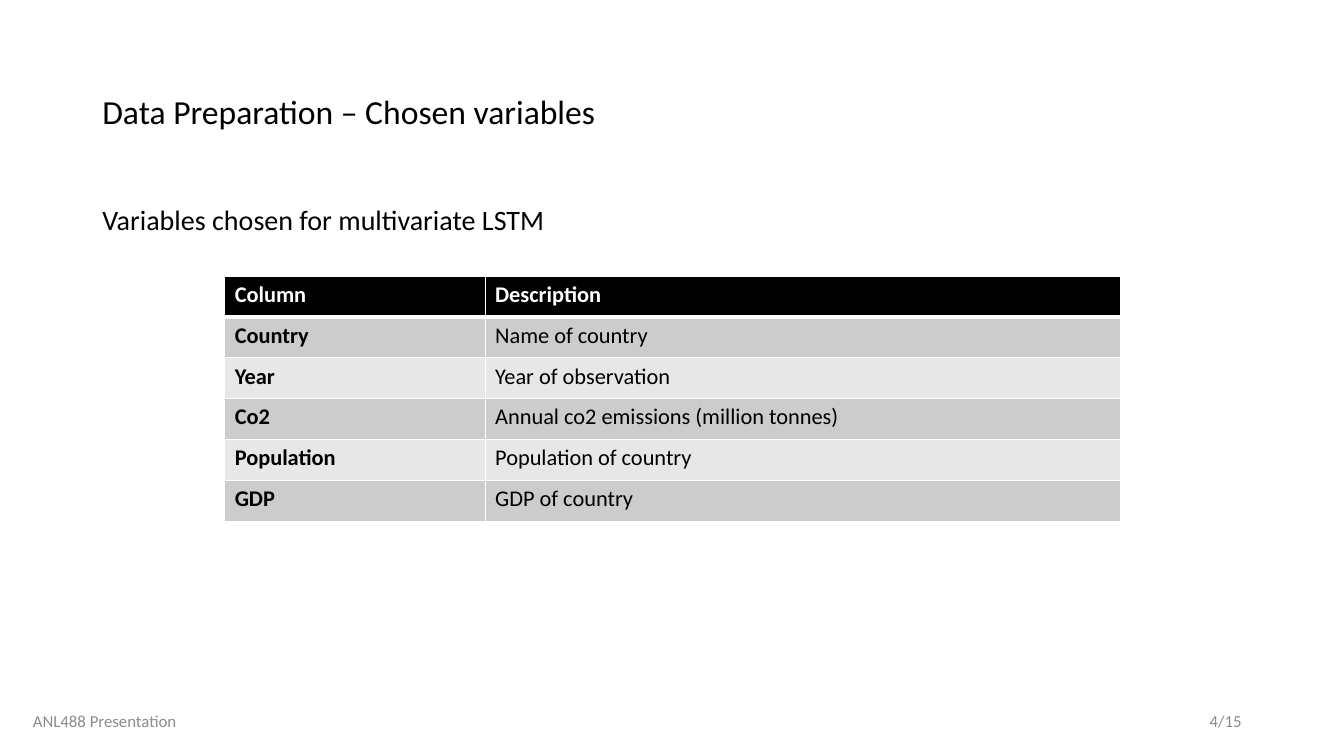
from lxml import etree
from pptx import Presentation
from pptx.dml.color import RGBColor
from pptx.enum.text import MSO_ANCHOR, PP_ALIGN
from pptx.oxml.ns import qn
from pptx.util import Inches, Pt

LEFT, RIGHT = PP_ALIGN.LEFT, PP_ALIGN.RIGHT
TOP, MIDDLE = MSO_ANCHOR.TOP, MSO_ANCHOR.MIDDLE
WIDTH, HEIGHT = Inches(13.33), Inches(7.5)
GRID_COLUMNS, GRID_ROWS = 160, 90

VARIABLES = [
    ("Column", "Description"),
    ("Country", "Name of country"),
    ("Year", "Year of observation"),
    ("Co2", "Annual co2 emissions (million tonnes)"),
    ("Population", "Population of country"),
    ("GDP", "GDP of country"),
]


def color(value):
    return RGBColor.from_string(value)


class Deck:
    font = "Calibri"
    black, white, gray = "000000", "FFFFFF", "8C8C8C"
    bands = ("CCCCCC", "E7E7E7")

    def __init__(self, prs):
        self.s = prs.slides.add_slide(prs.slide_layouts[6])
        self.s.background.fill.solid()
        self.s.background.fill.fore_color.rgb = color(self.white)

    def x(self, columns):
        return round(WIDTH * columns / GRID_COLUMNS)

    def y(self, rows):
        return round(HEIGHT * rows / GRID_ROWS)

    def run(self, p, text, size, ink, bold=False):
        r = p.add_run()
        r.text = text
        r.font.name, r.font.size, r.font.bold = self.font, Pt(size), bold
        r.font.color.rgb = color(ink)

    def text(self, words, left, top, width, height, size, ink=black,
             anchor=MIDDLE, align=LEFT, spacing=1.0):
        sp = self.s.shapes.add_textbox(self.x(left), self.y(top), self.x(width), self.y(height))
        tf = sp.text_frame
        tf.word_wrap = True
        tf.vertical_anchor = anchor
        p = tf.paragraphs[0]
        p.alignment, p.line_spacing = align, spacing
        self.run(p, words, size, ink)

    def border(self, cell, side, points):
        tc_pr = cell._tc.get_or_add_tcPr()
        ln = etree.SubElement(tc_pr, qn(f"a:ln{side}"), w=str(Pt(points)))
        fill = etree.SubElement(ln, qn("a:solidFill"))
        etree.SubElement(fill, qn("a:srgbClr"), val=self.white)

    def table(self, rows, left, top, widths, row_height, size):
        frame = self.s.shapes.add_table(
            len(rows), len(widths), self.x(left), self.y(top),
            self.x(sum(widths)), self.y(row_height * len(rows)))
        table = frame.table
        for column, width in zip(table.columns, widths):
            column.width = self.x(width)
        for i, row in enumerate(rows):
            header = i == 0
            table.rows[i].height = self.y(row_height)
            for j, words in enumerate(row):
                cell = table.cell(i, j)
                for side in "LRTB":
                    heavy = (i, side) in ((0, "B"), (1, "T"))
                    self.border(cell, side, 3 if heavy else 1)
                cell.fill.solid()
                cell.fill.fore_color.rgb = color(self.black if header else self.bands[(i - 1) % 2])
                self.run(cell.text_frame.paragraphs[0], words, size,
                         self.white if header else self.black, header or j == 0)


def main():
    prs = Presentation()
    prs.slide_width, prs.slide_height = WIDTH, HEIGHT
    deck = Deck(prs)
    deck.text("Data Preparation – Chosen variables", 11, 4.8, 138, 17.4, 24, spacing=0.9)
    deck.text("Variables chosen for multivariate LSTM", 11, 24, 138, 57, 20,
              anchor=TOP, spacing=0.9)
    deck.table(VARIABLES, 26.75, 32.85, (31, 75.6), 4.87, 16)
    deck.text("4/15", 113, 83.4, 36, 4.8, 12, deck.gray, align=RIGHT)
    deck.text("ANL488 Presentation", 1, 83.4, 21.2, 4.8, 12, deck.gray, align=RIGHT)
    prs.save("out.pptx")


if __name__ == "__main__":
    main()
